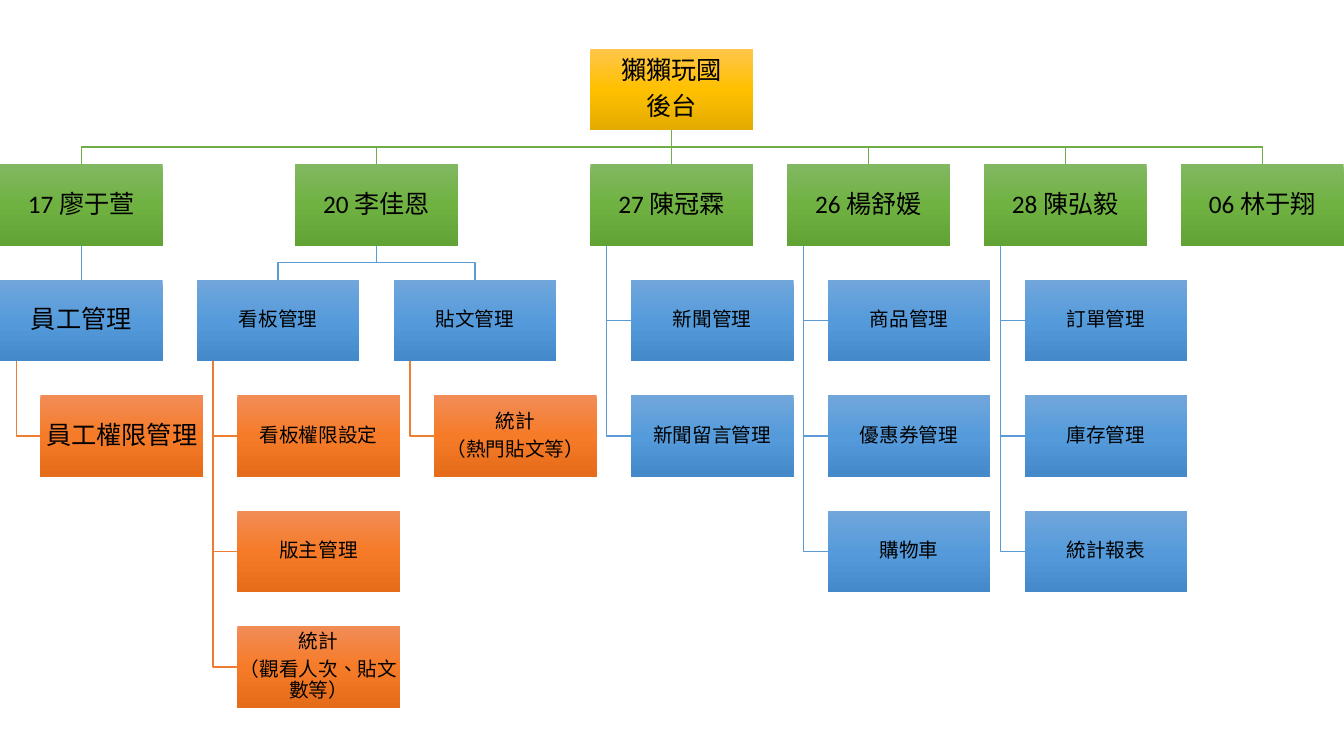
from copy import deepcopy
from dataclasses import dataclass
from typing import Optional

from lxml import etree
from pptx import Presentation
from pptx import util as u
from pptx.dml.color import RGBColor
from pptx.enum import lang, shapes, text
from pptx.oxml.ns import qn

BOX_WIDTH, BOX_HEIGHT = u.Cm(4.1), u.Cm(2.05)
COLUMN_PITCH, ROW_PITCH = u.Cm(4.96), u.Cm(2.91)
CHART_TOP = u.Cm(1.23)
INDENT, SPINE_OFFSET = u.Cm(1.02), u.Cm(0.41)
INSET = u.Cm(0.03)


@dataclass(frozen=True)
class Level:
    """Colours of one depth of the organisation chart."""
    gradient: tuple[str, str, str]
    link: str = ""


@dataclass(frozen=True)
class Unit:
    """A box; with a column it sits below its parent, without one it hangs."""
    label: str
    column: Optional[float] = None
    size: int = 14
    children: tuple["Unit", ...] = ()


@dataclass(frozen=True)
class Placed:
    """A unit with its corner, its depth and the way from its parent."""
    unit: Unit
    left: int
    top: int
    depth: int
    route: tuple[tuple[int, int], ...] = ()


LEVELS = (
    Level(("FFC64B", "FFC000", "E3AB00")),
    Level(("81B861", "6FB242", "62A336"), "70AD47"),
    Level(("71A6DB", "559BDB", "448ACA"), "5B9BD5"),
    Level(("F18C57", "F67B28", "E56C19"), "ED7D31"),
)


def hanging(*labels: str, size: int = 14) -> tuple[Unit, ...]:
    """Make units that hang one under another from their parent."""
    return tuple(Unit(label, size=size) for label in labels)


BACK_OFFICE = Unit("獺獺玩國\n後台", 3, 18, (
    Unit("17 廖于萱", 0, 18, (
        Unit("員工管理", 0, 18, hanging("員工權限管理", size=18)),
    )),
    Unit("20 李佳恩", 1.5, 18, (
        Unit("看板管理", 1, children=hanging(
            "看板權限設定", "版主管理", "統計\n（觀看人次、貼文數等）")),
        Unit("貼文管理", 2, children=hanging("統計\n（熱門貼文等）")),
    )),
    Unit("27 陳冠霖", 3, 18, hanging("新聞管理", "新聞留言管理")),
    Unit("26 楊舒媛", 4, 18, hanging("商品管理", "優惠券管理", "購物車")),
    Unit("28 陳弘毅", 5, 18, hanging("訂單管理", "庫存管理", "統計報表")),
    Unit("06 林于翔", 6, 18),
))


def rgb(code: str) -> RGBColor:
    """Turn a hex string into a colour."""
    return RGBColor.from_string(code)


def place(parent: Placed) -> list[Placed]:
    """List a placed unit and everything below it."""
    placed = [parent]
    bottom = parent.top + BOX_HEIGHT
    for rank, child in enumerate(parent.unit.children, start=1):
        if child.column is None:
            left, top = parent.left + INDENT, parent.top + rank * ROW_PITCH
            spine, middle = parent.left + SPINE_OFFSET, top + BOX_HEIGHT // 2
            route = ((spine, bottom), (spine, middle), (left, middle))
        else:
            left, top = int(child.column * COLUMN_PITCH), parent.top + ROW_PITCH
            start, end = parent.left + BOX_WIDTH // 2, left + BOX_WIDTH // 2
            bus = (bottom + top) // 2
            route = ((start, bottom), (start, bus), (end, bus), (end, top))
            if start == end:
                route = (route[0], route[-1])
        placed += place(Placed(child, left, top, parent.depth + 1, route))
    return placed


def draw_link(slide, route: tuple[tuple[int, int], ...], colour: str) -> None:
    """Draw a straight connector or an angled open line."""
    if len(route) == 2:
        link = slide.shapes.add_connector(
            shapes.MSO_CONNECTOR.STRAIGHT, *route[0], *route[1])
    else:
        outline = slide.shapes.build_freeform(*route[0])
        outline.add_line_segments(route[1:], close=False)
        link = outline.convert_to_shape()
        link.fill.background()
    link.line.color.rgb = rgb(colour)
    link.line.width = u.Pt(1)
    etree.SubElement(link.element.spPr, qn("a:effectLst"))


def fill_gradient(shape, colours: tuple[str, ...]) -> None:
    """Fill a shape with three colours from top to bottom."""
    shape.fill.gradient()
    shape.fill.gradient_angle = 270
    stops = shape.element.spPr.find(".//" + qn("a:gsLst"))
    stops.insert(1, deepcopy(stops[0]))
    for rank, (stop, colour) in enumerate(zip(shape.fill.gradient_stops, colours)):
        stop.position = rank / 2
        stop.color.rgb = rgb(colour)


def write(shape, content: str, *, size: int, colour: str = "000000",
          font: str = "Calibri") -> None:
    """Write centred paragraphs into a shape."""
    frame = shape.text_frame
    frame.word_wrap = True
    frame.vertical_anchor = text.MSO_ANCHOR.MIDDLE
    frame.margin_left = frame.margin_right = INSET
    frame.margin_top = frame.margin_bottom = INSET
    frame.text = content
    for paragraph in frame.paragraphs:
        paragraph.alignment = text.PP_ALIGN.CENTER
        paragraph.line_spacing = 0.9
        paragraph.space_after = u.Pt(0.35 * size)
        for run in paragraph.runs:
            run.font.name = font
            run.font.size = u.Pt(size)
            run.font.color.rgb = rgb(colour)
            run.font.language_id = lang.MSO_LANGUAGE_ID.TRADITIONAL_CHINESE


def draw_box(slide, item: Placed) -> None:
    """Draw the labelled box of a placed unit."""
    box = slide.shapes.add_shape(
        shapes.MSO_SHAPE.RECTANGLE, item.left, item.top, BOX_WIDTH, BOX_HEIGHT)
    fill_gradient(box, LEVELS[item.depth].gradient)
    box.line.fill.background()
    box.shadow.inherit = False
    write(box, item.unit.label, size=item.unit.size)


def main() -> None:
    """Build the slide with the organisation chart."""
    deck = Presentation()
    deck.slide_width, deck.slide_height = u.Cm(33.87), u.Cm(19.05)
    slide = deck.slides.add_slide(deck.slide_layouts[6])
    top_unit = Placed(BACK_OFFICE, 3 * COLUMN_PITCH, CHART_TOP, 0)
    chart = place(top_unit)
    for item in chart[1:]:
        draw_link(slide, item.route, LEVELS[item.depth].link)
    for item in chart:
        draw_box(slide, item)
    deck.save("out.pptx")


main()
